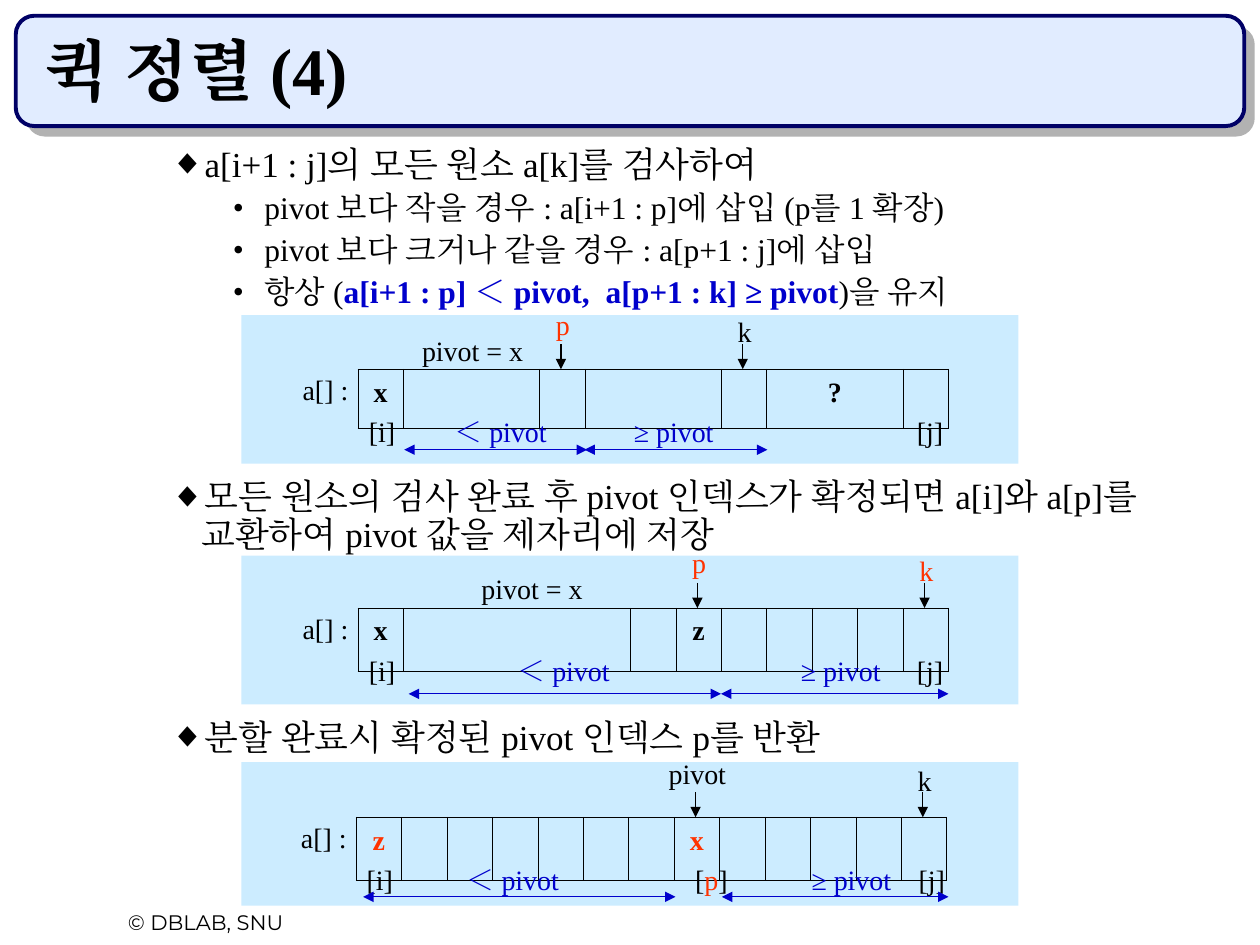
from pptx import Presentation
from pptx.util import Pt
from pptx.dml.color import RGBColor
from pptx.enum.shapes import MSO_SHAPE as Shape, MSO_CONNECTOR as Link
from pptx.enum.text import PP_ALIGN as Align, MSO_ANCHOR as Anchor
from pptx.oxml.ns import qn
from lxml.etree import SubElement as Sub, Element as Elem

BLACK, BLUE, RED = "000000", "0000CC", "FF3300"
SERIF = "Times New Roman"
UNIT = 25.97

TITLE = "퀵 정렬 (4)"
FOOT = "© DBLAB, SNU"
RULE = "a[i+1 : p] ＜ pivot,  a[p+1 : k] ≥ pivot"

BLOCKS = [
    (78, 100, [
        (1, 1, ["a[i+1 : j]의 모든 원소 a[k]를 검사하여"]),
        (2, 0.9, ["pivot 보다 작을 경우 : a[i+1 : p]에 삽입 (p를 1 확장)"]),
        (2, 0.9, ["pivot 보다 크거나 같을 경우 : a[p+1 : j]에 삽입"]),
        (2, 0.9, ["항상 (", RULE, ")을 유지"]),
    ]),
    (270.5, 50, [
        (1, 0.9, ["모든 원소의 검사 완료 후 pivot 인덱스가 확정되면 "
                  "a[i]와 a[p]를 교환하여 pivot 값을 제자리에 저장"]),
    ]),
    (408, 28, [(1, 0.9, ["분할 완료시 확정된 pivot 인덱스 p를 반환"])]),
]
LEVELS = {1: (90, 20, 5, "◆"), 2: (126, 18, 4.5, "•")}

ARRAYS = [
    dict(panel=(180, 85), left=204.5, top=211, high=33.7,
         cols=[1, 3, 1, 3, 1, 3, 1], ink=BLACK, cells={0: "x", 5: "?"},
         marks=[(2, "p", RED, -39), (4, "k", BLACK, -35)],
         note=(270, -24), base=46,
         tags=[(218.3, "[i]", BLACK), (286, "＜ pivot", BLUE),
               (385, "≥ pivot", BLUE), (531.5, "[j]", BLACK)],
         spans=[(231, 335.5), (334, 438.5)]),
    dict(panel=(317.5, 85), left=204.5, top=347.5, high=36,
         cols=[1, 5] + [1] * 7, ink=BLACK, cells={0: "x", 3: "z"},
         marks=[(3, "p", RED, -39.5), (8, "k", RED, -34.5)],
         note=(304, -24.5), base=49,
         tags=[(218.3, "[i]", BLACK), (322, "＜ pivot", BLUE),
               (480.5, "≥ pivot", BLUE), (531.5, "[j]", BLACK)],
         spans=[(233.5, 412), (412, 542)]),
    dict(panel=(435.5, 82), left=203.5, top=467, high=36,
         cols=[1] * 13, ink=RED, cells={0: "z", 7: "x"},
         marks=[(7, "pivot", BLACK, -38.5), (12, "k", BLACK, -34.5)],
         note=None, base=45.5,
         tags=[(217, "[i]", BLACK), (293, "＜ pivot", BLUE),
               (406.5, "[p]", BLACK), (486.5, "≥ pivot", BLUE),
               (532.5, "[j]", BLACK)],
         spans=[(207.5, 386), (412.5, 542)]),
]


def hue(code):
    return RGBColor.from_string(code)


def write(para, text, size=16, ink=BLACK, bold=False, face=SERIF):
    run = para.add_run()
    run.text = text
    look = dict(size=Pt(size), bold=bold, name=face)
    for key, value in look.items():
        setattr(run.font, key, value)
    run.font.color.rgb = hue(ink)
    Sub(run._r.get_or_add_rPr(), qn("a:ea"), typeface=face)


def block(kind, x, y, w, h, fill, line=None):
    shape = slide.shapes.add_shape(kind, Pt(x), Pt(y), Pt(w), Pt(h))
    shape.shadow.inherit = False
    shape.fill.solid()
    shape.fill.fore_color.rgb = hue(fill)
    if line:
        shape.line.color.rgb = hue(line)
        shape.line.width = Pt(2.25)
    else:
        shape.line.fill.background()


def label(mid, top, text, ink=BLACK, **look):
    wide = 40 + 9 * len(text)
    box = slide.shapes.add_textbox(Pt(mid - wide / 2), Pt(top), Pt(wide), Pt(26.5))
    box.text_frame.word_wrap = False
    para = box.text_frame.paragraphs[0]
    para.alignment = Align.CENTER
    if text == "[p]":
        for char, tone in zip(text, (ink, RED, ink)):
            write(para, char, ink=tone)
    else:
        write(para, text, ink=ink, **look)


def arrow(x1, y1, x2, y2, ink, ends):
    link = slide.shapes.add_connector(Link.STRAIGHT, Pt(x1), Pt(y1), Pt(x2), Pt(y2))
    link.line.color.rgb = hue(ink)
    link.line.width = Pt(0.75)
    line = link.line._get_or_add_ln()
    for end in ends:
        Sub(line, qn("a:" + end), type="triangle")
    Sub(link._element.spPr, qn("a:effectLst"))


def border(cell):
    props = cell._tc.get_or_add_tcPr()
    for spot, side in enumerate("LRTB"):
        line = Elem(qn("a:ln" + side), w=str(Pt(0.45)))
        Sub(Sub(line, qn("a:solidFill")), qn("a:srgbClr"), val=BLACK)
        props.insert(spot, line)


def prose(top, high, lines):
    box = slide.shapes.add_textbox(Pt(18), Pt(top), Pt(678), Pt(high))
    frame = box.text_frame
    frame.word_wrap = True
    for row, (level, gap, parts) in enumerate(lines):
        para = frame.add_paragraph() if row else frame.paragraphs[0]
        left, size, before, mark = LEVELS[level]
        para.line_spacing = gap
        para.space_before = Pt(before if row else 0)
        props = para._p.get_or_add_pPr()
        props.set("marL", str(Pt(left)))
        props.set("indent", str(Pt(-18)))
        Sub(Sub(props, qn("a:buClr")), qn("a:srgbClr"), val=BLACK)
        Sub(props, qn("a:buFont"), typeface=SERIF)
        Sub(props, qn("a:buChar"), char=mark)
        for part in parts:
            key = part == RULE
            write(para, part, size, BLUE if key else BLACK, key)


def array(left, top, high, cols, ink, cells, marks, note, base, tags, spans, **rest):
    grid = slide.shapes.add_table(1, len(cols), Pt(left), Pt(top),
                                  Pt(UNIT * sum(cols)), Pt(high)).table
    grid.first_row = grid.horz_banding = False
    grid.rows[0].height = Pt(high)
    for i, span in enumerate(cols):
        grid.columns[i].width = Pt(UNIT * span)
        cell = grid.cell(0, i)
        cell.fill.background()
        border(cell)
        if i in cells:
            para = cell.text_frame.paragraphs[0]
            para.alignment = Align.CENTER
            para.line_spacing = 1.05
            write(para, cells[i], ink=ink, bold=True)
    label(left - 18.5, top - 1.5, "a[] :")
    if note:
        label(note[0], top + note[1], "pivot = x")
    for i, text, tone, rise in marks:
        x = left + UNIT * (sum(cols[:i]) + cols[i] / 2) - 0.8
        label(x + 1, top + rise, text, tone)
        arrow(x, top - 14.4, x, top, BLACK, ["tailEnd"])
    for mid, text, tone in tags:
        label(mid, top + 22.5, text, tone)
    for start, stop in spans:
        arrow(start, top + base, stop, top + base, BLUE, ["headEnd", "tailEnd"])


deck = Presentation()
deck.slide_width, deck.slide_height = Pt(720), Pt(540)
slide = deck.slides.add_slide(deck.slide_layouts[5])

block(Shape.ROUNDED_RECTANGLE, 15, 15, 702, 63, "B2B2B2")
block(Shape.ROUNDED_RECTANGLE, 9, 9, 702, 63, "E1ECFF", "000066")
label(117.5, 516, FOOT, size=12, face="Montserrat")
for item in ARRAYS:
    y, h = item["panel"]
    block(Shape.RECTANGLE, 138, y, 444, h, "CCECFF")

head = slide.shapes.title
head.left, head.top, head.width, head.height = Pt(18), Pt(18), Pt(678), Pt(48)
head.text_frame.vertical_anchor = Anchor.BOTTOM
head.text_frame.paragraphs[0].alignment = Align.LEFT
write(head.text_frame.paragraphs[0], TITLE, 38, bold=True)
slide.shapes._spTree.append(head._element)

for item in BLOCKS:
    prose(*item)
for item in ARRAYS:
    array(**item)

deck.save("out.pptx")
